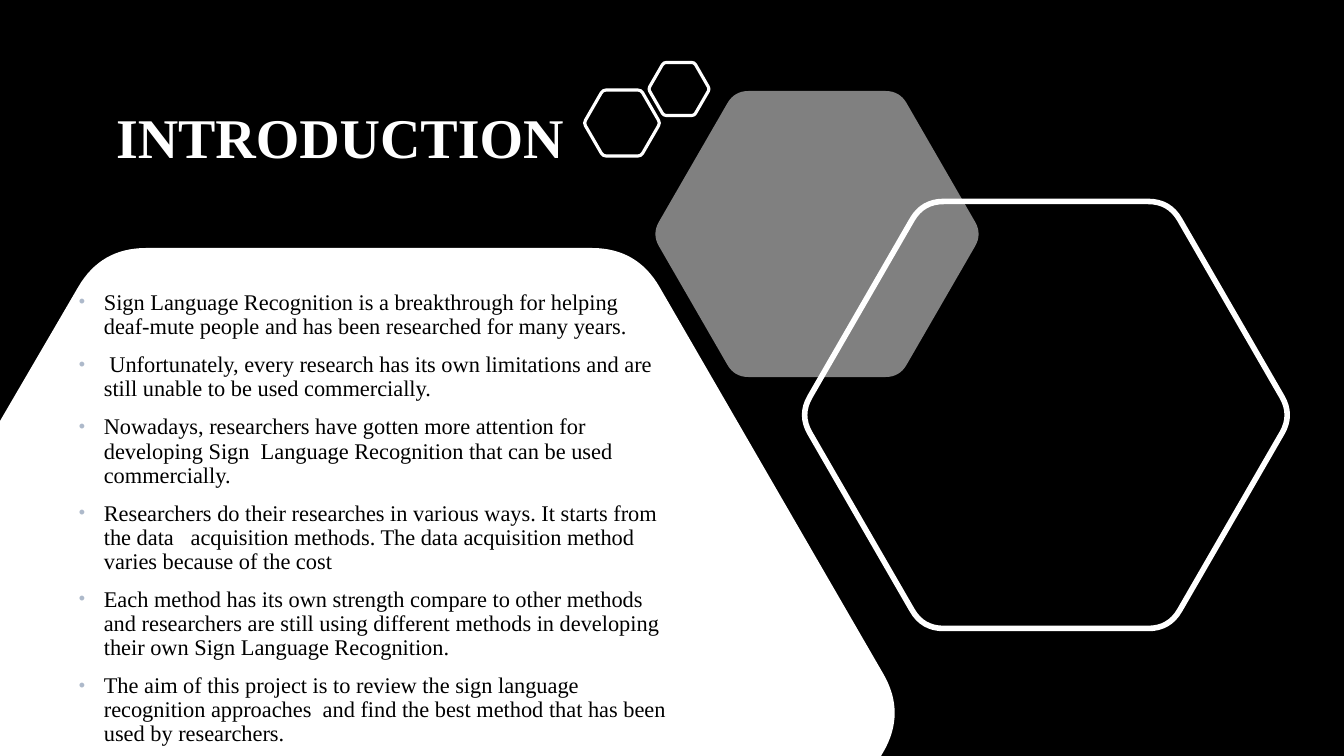
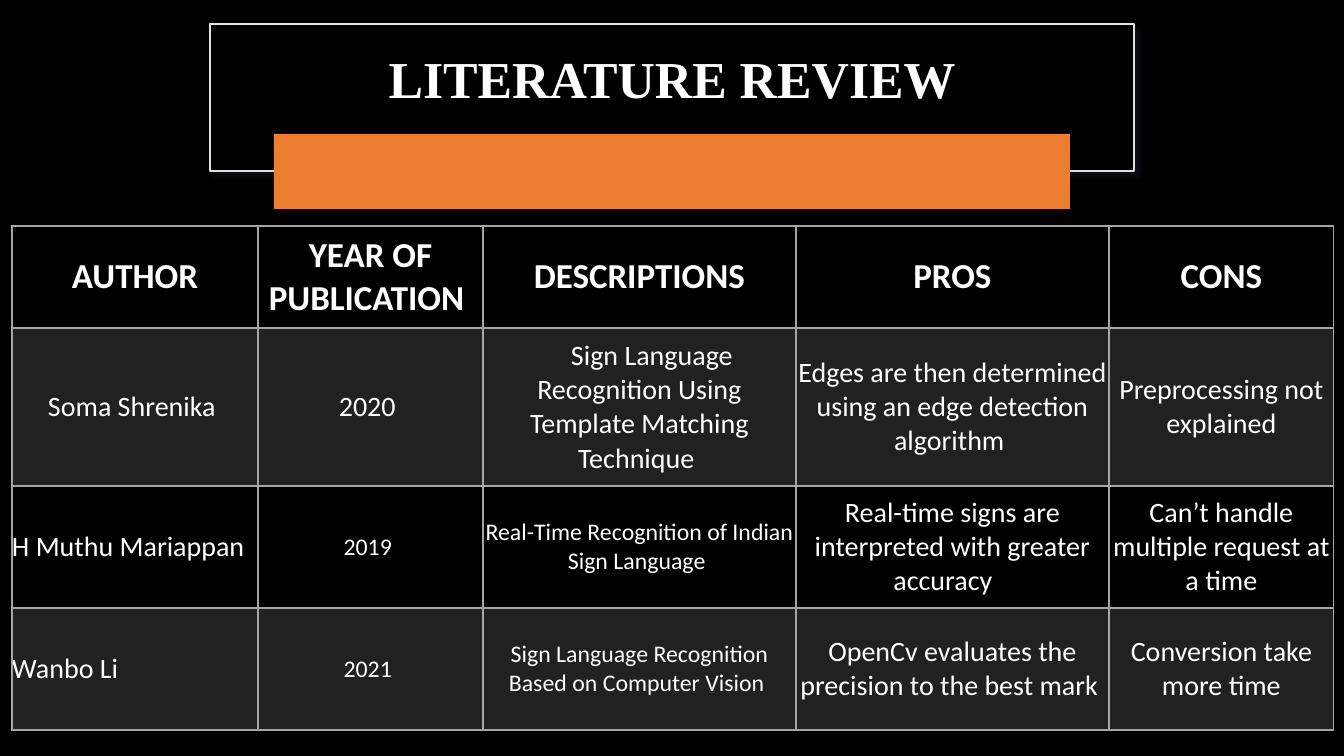
from dataclasses import dataclass
from math import cos, pi, sin, sqrt

from lxml.etree import SubElement
from pptx import Presentation
from pptx.dml.color import RGBColor
from pptx.enum.shapes import MSO_SHAPE
from pptx.enum.text import MSO_ANCHOR, MSO_AUTO_SIZE, PP_ALIGN
from pptx.oxml.ns import qn
from pptx.util import Emu, Pt

SLIDE_WIDTH, SLIDE_HEIGHT = 1344, 756
EMU_PER_PX = 12192000 / SLIDE_WIDTH
TITLE_ONLY = 5


@dataclass(frozen=True)
class Theme:
    serif: str = "Times New Roman"
    sans: str = "Calibri"
    back: str = "000000"
    light: str = "FFFFFF"
    frame: str = "E1E1E1"
    shadow: str = "3A475A"
    accent: str = "ED7D31"
    bullet: str = "ADB9CA"
    grid: str = "A5A5A5"
    title_size: int = 40
    small_title_size: int = 37
    body_size: int = 16
    body_pitch: float = 17.2
    body_gap: int = 10
    head_size: int = 25
    cell_size: int = 20
    small_cell_size: int = 17


def px(value):
    return Emu(round(value * EMU_PER_PX))


def assign(target, values):
    for name, value in values.items():
        setattr(target, name, value)


def paint(fill, colour, opacity=100):
    if colour is None:
        fill.background()
        return
    fill.solid()
    fill.fore_color.rgb = RGBColor.from_string(colour)
    if opacity < 100:
        tone = fill._xPr.find(qn("a:solidFill"))[0]
        SubElement(tone, qn("a:alpha"), val=str(opacity * 1000))


def corner_arc(corner, before, after):
    """Return start, middle and end of the curve that rounds a corner, or the bare corner."""
    x, y, cut = corner
    if not cut:
        return [(px(x), px(y))]
    ends = []
    for near_x, near_y, _ in (before, after):
        share = cut / sqrt((near_x - x) ** 2 + (near_y - y) ** 2)
        ends.append((x + (near_x - x) * share, y + (near_y - y) * share))
    (start_x, start_y), (end_x, end_y) = ends
    middle = ((start_x + 2 * x + end_x) / 4, (start_y + 2 * y + end_y) / 4)
    return [(px(a), px(b)) for a, b in (ends[0], middle, ends[1])]


class SlideWriter:
    def __init__(self, deck, theme):
        self.deck, self.theme, self.page = deck, theme, None
        paint(deck.slide_master.background.fill, theme.back)

    def new_page(self):
        self.page = self.deck.slides.add_slide(self.deck.slide_layouts[TITLE_ONLY])

    def style(self, font, name, size, colour, bold=False):
        assign(font, {"name": name, "size": Pt(size), "bold": bold})
        font.color.rgb = RGBColor.from_string(colour)

    def finish(self, shape, fill, opacity, line, width):
        shape.shadow.inherit = False
        paint(shape.fill, fill, opacity)
        paint(shape.line.fill, line)
        if line:
            shape.line.width = Pt(width)
        return shape

    def title(self, text, left, top, width, height, size, align=PP_ALIGN.LEFT):
        """Fill the title placeholder and bring it to the front."""
        box = self.page.shapes.title
        assign(box, {"left": px(left), "top": px(top), "width": px(width), "height": px(height)})
        frame = box.text_frame
        assign(frame, {"word_wrap": True, "auto_size": MSO_AUTO_SIZE.NONE,
                       "vertical_anchor": MSO_ANCHOR.MIDDLE, "text": text})
        para = frame.paragraphs[0]
        assign(para, {"alignment": align, "line_spacing": 0.9})
        self.style(para.runs[0].font, self.theme.serif, size, self.theme.light, bold=True)
        self.page.shapes._spTree.append(box._element)

    def outline(self, corners, fill=None, opacity=100, line=None, width=1):
        """Draw a polygon of (x, y, cut) corners, each rounded by one curve where cut is set."""
        arcs = [corner_arc(corner, corners[i - 1], corners[(i + 1) % len(corners)])
                for i, corner in enumerate(corners)]
        points = [point for arc in arcs for point in arc]
        builder = self.page.shapes.build_freeform(*points[0], scale=1.0)
        builder.add_line_segments(points[1:], close=True)
        shape = builder.convert_to_shape()
        steps = list(next(shape._element.iter(qn("a:path"))))
        for (x, y, cut), arc in zip(corners, arcs):
            pieces, steps = steps[:len(arc)], steps[len(arc):]
            if cut:
                self.bend(pieces[1], pieces[2], px(x) - shape.left, px(y) - shape.top)
        return self.finish(shape, fill, opacity, line, width)

    def bend(self, middle, end, control_x, control_y):
        """Replace two straight steps by one curve towards the control point."""
        curve = SubElement(middle.getparent(), qn("a:quadBezTo"))
        SubElement(curve, qn("a:pt"), x=str(control_x), y=str(control_y))
        curve.append(end[0])
        middle.getparent().replace(middle, curve)
        end.getparent().remove(end)

    def hexagon(self, centre_x, centre_y, height, **look):
        side = height / sqrt(3)
        corners = [(centre_x + side * cos(k * pi / 3), centre_y + side * sin(k * pi / 3),
                    0.085 * side) for k in range(6)]
        return self.outline(corners, **look)

    def rectangle(self, left, top, width, height, fill, line=None):
        shape = self.page.shapes.add_shape(
            MSO_SHAPE.RECTANGLE, px(left), px(top), px(width), px(height))
        return self.finish(shape, fill, 100, line, 1)

    def cast_shadow(self, shape):
        effects = shape._element.spPr.find(qn("a:effectLst"))
        shade = SubElement(effects, qn("a:outerShdw"), blurRad=str(Pt(4)), dist=str(Pt(3)),
                           dir=str(45 * 60000), algn="tl", rotWithShape="0")
        tone = SubElement(shade, qn("a:srgbClr"), val=self.theme.shadow)
        SubElement(tone, qn("a:alpha"), val="20000")

    def bullets(self, items, left, top, width, height):
        theme = self.theme
        box = self.page.shapes.add_textbox(px(left), px(top), px(width), px(height))
        frame = box.text_frame
        frame.word_wrap = True
        for index, item in enumerate(items):
            para = frame.add_paragraph() if index else frame.paragraphs[0]
            assign(para, {"text": item, "line_spacing": Pt(theme.body_pitch),
                          "space_before": Pt(theme.body_gap if index else 0)})
            properties = para._p.get_or_add_pPr()
            properties.set("marL", str(px(32)))
            properties.set("indent", str(px(-25)))
            colour = SubElement(properties, qn("a:buClr"))
            SubElement(colour, qn("a:srgbClr"), val=theme.bullet)
            SubElement(properties, qn("a:buSzPct"), val="80000")
            SubElement(properties, qn("a:buFont"), typeface="Arial")
            SubElement(properties, qn("a:buChar"), char="•")
            self.style(para.runs[0].font, theme.serif, theme.body_size, theme.back)

    def borders(self, cell, widths):
        properties = cell._tc.get_or_add_tcPr()
        for index, (edge, width) in enumerate(widths.items()):
            line = SubElement(properties, qn(f"a:ln{edge}"), w=str(Pt(width)))
            fill = SubElement(line, qn("a:solidFill"))
            SubElement(fill, qn("a:srgbClr"), val=self.theme.grid)
            properties.insert(index, line)

    def table(self, rows, left, top, widths, heights, small, left_aligned, indents):
        """Draw a header row and shaded odd rows; the last three are keyed by (row, column)."""
        theme = self.theme
        grid = self.page.shapes.add_table(len(rows), len(widths), px(left), px(top),
                                          px(sum(widths)), px(sum(heights))).table
        assign(grid, {"first_row": False, "horz_banding": False})
        for column, width in zip(grid.columns, widths):
            column.width = px(width)
        for row, height in zip(grid.rows, heights):
            row.height = px(height)
        for r, texts in enumerate(rows):
            for c, text in enumerate(texts):
                cell = grid.cell(r, c)
                assign(cell, {"vertical_anchor": MSO_ANCHOR.MIDDLE, "margin_left": 0,
                              "margin_right": 0, "margin_top": 0, "margin_bottom": 0})
                para = cell.text_frame.paragraphs[0]
                para.text = text
                para.alignment = PP_ALIGN.LEFT if (r, c) in left_aligned else PP_ALIGN.CENTER
                if (r, c) in indents:
                    para._p.get_or_add_pPr().set("indent", str(px(indents[r, c])))
                size = theme.small_cell_size if (r, c) in small else theme.cell_size
                self.style(para.runs[0].font, theme.sans, size if r else theme.head_size,
                           theme.light, bold=r == 0)
                paint(cell.fill, theme.grid if r % 2 else None, 20)
                self.borders(cell, {"L": 1, "R": 1, "T": 2 if r == 1 else 1,
                                    "B": 2 if r == 0 else 1})


def introduction(writer):
    theme = writer.theme
    writer.new_page()
    writer.title("INTRODUCTION", 106, 50, 472, 181, theme.title_size)
    writer.outline([(0, SLIDE_HEIGHT, 0), (0, 421, 0), (101, 248, 45), (637, 248, 45),
                    (906, 713, 45), (881, SLIDE_HEIGHT, 0)], fill=theme.light)
    writer.hexagon(1046, 415, 427, line=theme.light, width=4)
    writer.hexagon(817, 234, 286, fill=theme.light, opacity=50)
    for centre_x, centre_y, height in ((622, 123, 66), (679, 89, 53)):
        writer.hexagon(centre_x, centre_y, height, line=theme.light, width=2.25)
    writer.bullets([
        "Sign Language Recognition is a breakthrough for helping deaf-mute people and has "
        "been researched for many years.",
        " Unfortunately, every research has its own limitations and are still unable to be "
        "used commercially.",
        "Nowadays, researchers have gotten more attention for developing Sign  Language "
        "Recognition that can be used commercially.",
        "Researchers do their researches in various ways. It starts from the data   "
        "acquisition methods. The data acquisition method varies because of the cost",
        "Each method has its own strength compare to other methods and researchers are "
        "still using different methods in developing their own Sign Language Recognition.",
        "The aim of this project is to review the sign language recognition approaches  "
        "and find the best method that has been used by researchers.",
    ], 62, 286, 616, 470)


def literature_review(writer):
    theme = writer.theme
    writer.new_page()
    frame = writer.rectangle(210, 24, 924, 147, theme.back, line=theme.frame)
    writer.cast_shadow(frame)
    writer.title("LITERATURE REVIEW", 232, 34, 880, 96, theme.small_title_size,
                 PP_ALIGN.CENTER)
    writer.rectangle(274, 134, 796, 75, theme.accent)
    writer.table([
        ["AUTHOR", "YEAR OF PUBLICATION ", "DESCRIPTIONS", "PROS", "CONS"],
        ["Soma Shrenika ", "2020 ",
         "Sign Language Recognition Using Template Matching Technique ",
         "Edges are then determined using an edge detection algorithm ",
         "Preprocessing not explained"],
        ["H Muthu Mariappan", "2019 ", "Real-Time Recognition of Indian Sign Language ",
         "Real-time signs are interpreted with greater accuracy   ",
         "Can’t handle multiple request at a time"],
        ["Wanbo Li", "2021 ", "Sign Language Recognition Based on Computer Vision ",
         "OpenCv evaluates the precision to the best mark ", "Conversion take more time"],
    ], 12, 226, widths=(246, 225, 313, 313, 225), heights=(102, 158, 122, 122),
        small={(2, 1), (2, 2), (3, 1), (3, 2)}, left_aligned={(2, 0), (3, 0)},
        indents={(1, 2): 25})


def main():
    deck = Presentation()
    assign(deck, {"slide_width": px(SLIDE_WIDTH), "slide_height": px(SLIDE_HEIGHT)})
    writer = SlideWriter(deck, Theme())
    introduction(writer)
    literature_review(writer)
    deck.save("out.pptx")


if __name__ == "__main__":
    main()
